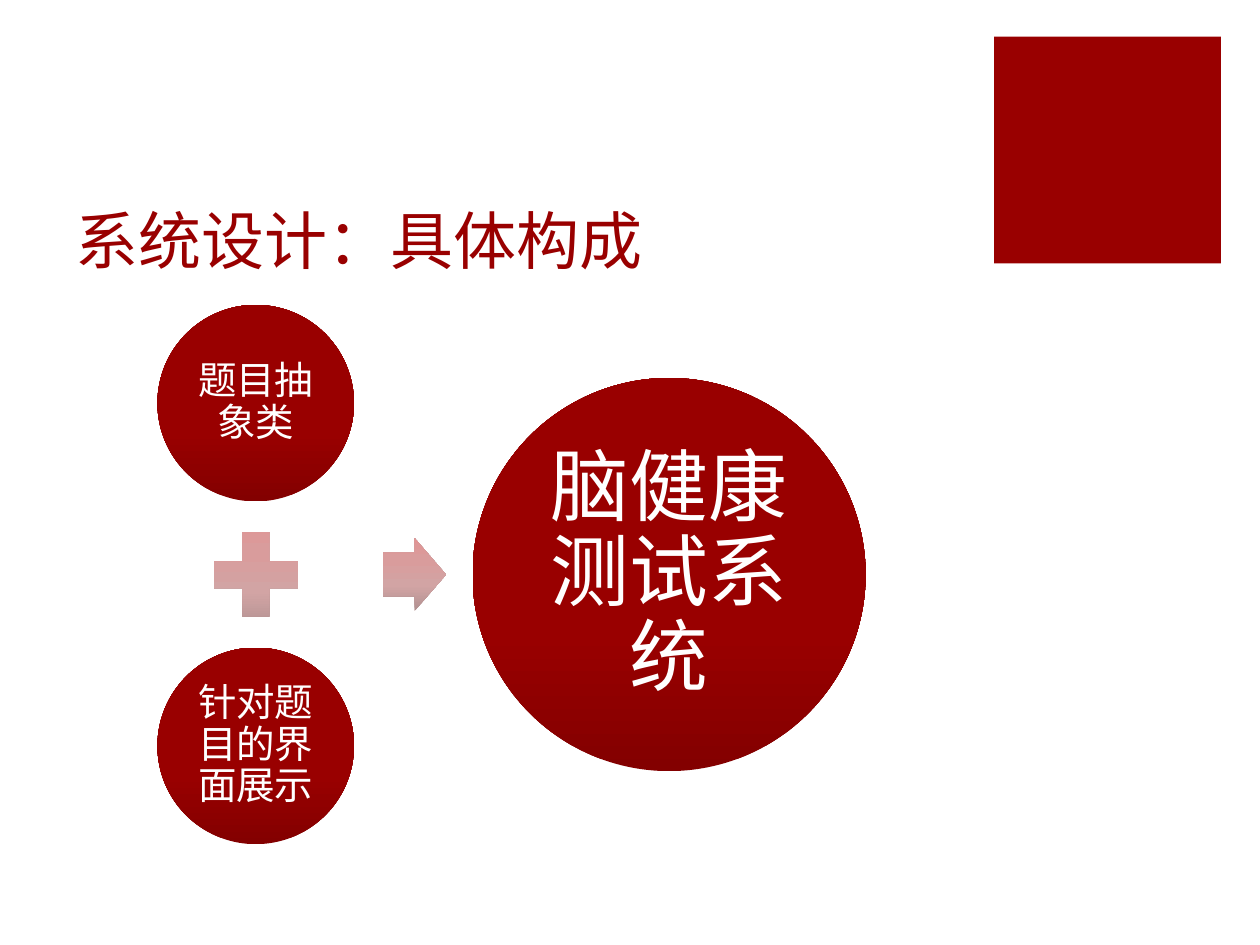
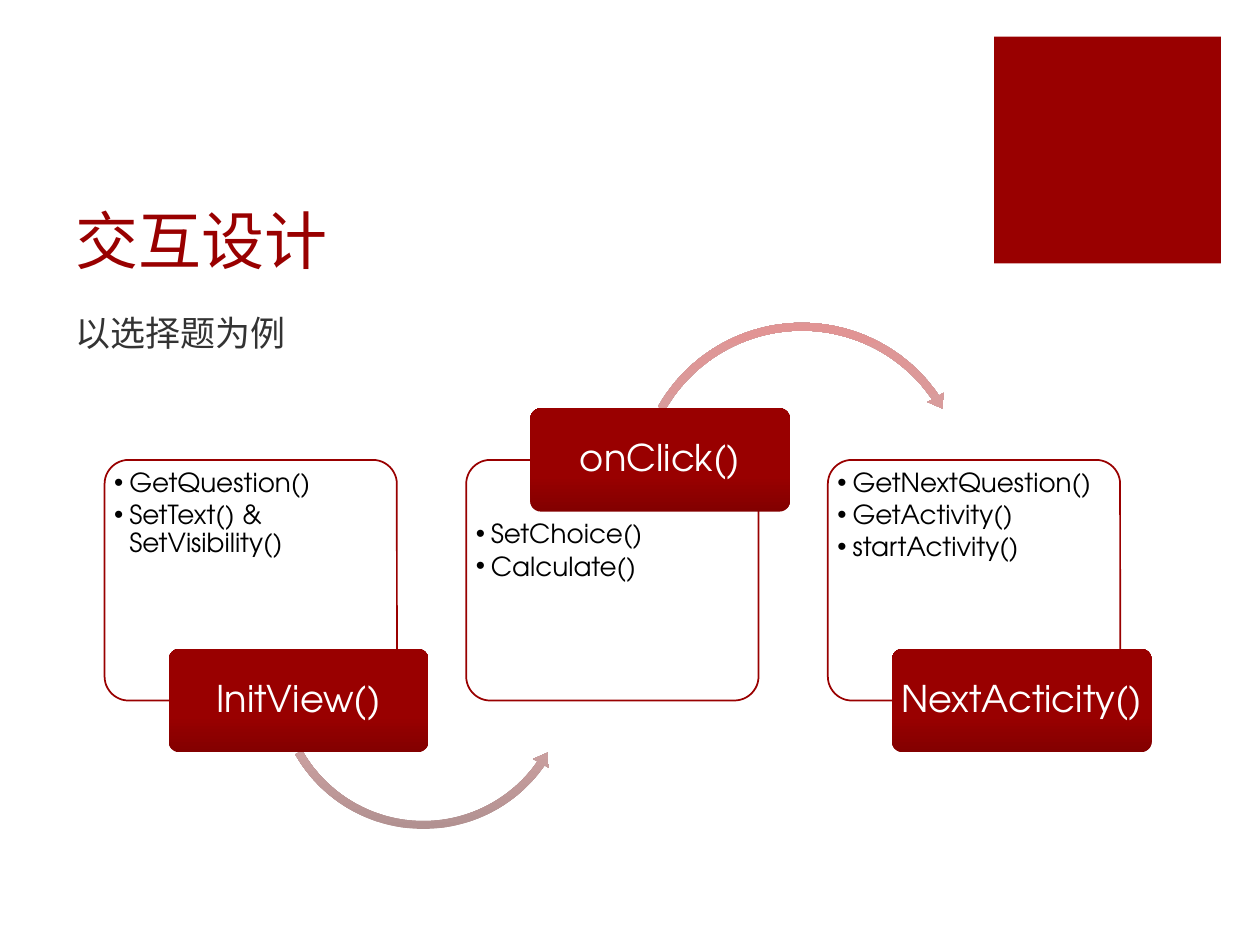
from dataclasses import dataclass
from typing import Optional

from lxml.etree import SubElement as add_node
from pptx import Presentation
from pptx.dml.color import RGBColor as Rgb
from pptx.enum.shapes import MSO_SHAPE as Kind
from pptx.enum.text import MSO_ANCHOR as Anchor, MSO_AUTO_SIZE as Fit, PP_ALIGN as Align
from pptx.oxml.ns import qn
from pptx.util import Emu, Inches, Pt

COLS, ROWS = 100, 75
CELL = Inches(10) // COLS
FONT = "TeX Gyre Adventor"
RED, WHITE, BLACK, GREY = "990000", "FFFFFF", "000000", "333333"
DEEP = ((0, "830000"), (35, RED), (70, RED), (100, RED))
PALE = ((0, "B09090"), (35, "D2A4A4"), (70, "D99C9C"), (100, "E19494"))


@dataclass(frozen=True)
class Box:
    col: float
    row: float
    wide: float
    high: float

    def cells(self) -> tuple:
        return tuple(Emu(round(n * CELL)) for n in (self.col, self.row, self.wide, self.high))


@dataclass(frozen=True)
class Disc:
    text: str
    col: float
    row: float
    wide: float
    size: float
    inset: float


@dataclass(frozen=True)
class Arc:
    kind: Kind
    box: Box
    bends: tuple


@dataclass(frozen=True)
class Step:
    name: str
    calls: tuple
    on_top: bool = False
    arc: Optional[Arc] = None


def hue(code: str) -> Rgb:
    return Rgb.from_string(code)


def around(col: float, row: float, wide: float, high: float) -> Box:
    return Box(col - wide / 2, row - high / 2, wide, high)


def shade(shape, stops: tuple) -> None:
    shape.fill.gradient()
    shape.fill.gradient_angle = 90
    ramp = shape.element.spPr.find(".//" + qn("a:gsLst"))
    for old in list(ramp):
        ramp.remove(old)
    for share, code in stops:
        stop = add_node(ramp, qn("a:gs"), pos=str(share * 1000))
        add_node(stop, qn("a:srgbClr"), val=code)


def draw(slide, kind: Kind, box: Box, fill, bends: tuple = ()):
    shape = slide.shapes.add_shape(kind, *box.cells())
    shape.shadow.inherit = False
    shape.line.fill.background()
    for i, bend in enumerate(bends):
        shape.adjustments[i] = bend
    if isinstance(fill, tuple):
        shade(shape, fill)
    else:
        shape.fill.solid()
        shape.fill.fore_color.rgb = hue(fill)
    return shape


def write(shape, text: str, size: float, code: str, align=Align.LEFT, anchor=Anchor.TOP) -> list:
    frame = shape.text_frame
    frame.text = text
    frame.word_wrap = True
    frame.auto_size = Fit.NONE
    frame.vertical_anchor = anchor
    for para in frame.paragraphs:
        para.alignment = align
        for run in para.runs:
            run.font.name = FONT
            run.font.size = Pt(size)
            run.font.color.rgb = hue(code)
    return list(frame.paragraphs)


def pad(shape, side: float, top: float, base: float) -> None:
    frame = shape.text_frame
    frame.margin_left = frame.margin_right = Inches(side)
    frame.margin_top, frame.margin_bottom = Inches(top), Inches(base)


def label(shape, text: str, size: float, inset: float) -> None:
    pad(shape, inset, inset, inset)
    for para in write(shape, text, size, WHITE, Align.CENTER, Anchor.MIDDLE):
        para.line_spacing = 0.9


def indent(para, left: float, mark: str = "") -> None:
    props = para._p.get_or_add_pPr()
    props.set("marL", str(Inches(left)))
    props.set("indent", str(-Inches(left)))
    if mark:
        add_node(props, qn("a:buFont"), typeface="Arial")
        add_node(props, qn("a:buChar"), char=mark)
    else:
        add_node(props, qn("a:buNone"))


def place(shape, box: Box) -> None:
    shape.left, shape.top, shape.width, shape.height = box.cells()


def start(deck, layout: int, title: str):
    slide = deck.slides.add_slide(deck.slide_layouts[layout])
    place(slide.shapes.title, Box(5, 10, 71.2, 12.5))
    write(slide.shapes.title, title, 36, RED, anchor=Anchor.BOTTOM)
    return slide


def brand(deck, slide) -> None:
    block = draw(slide, Kind.RECTANGLE, Box(78.9, 2.9, 18, 18), RED)
    deck.slide_master.shapes.element.insert(2, block.element)


MID, LEFT, DROP = 45.6, 20.3, 13.6
DISCS = (
    Disc("题目抽象类", LEFT, MID - DROP, 15.6, 22, 0.03),
    Disc("针对题目的界面展示", LEFT, MID + DROP, 15.6, 22, 0.03),
    Disc("脑健康测试系统", 53.1, MID, 31.2, 45, 0.06),
)


def parts(deck) -> None:
    slide = start(deck, 5, "系统设计:具体构成".replace(":", "："))
    brand(deck, slide)
    for disc in DISCS:
        shape = draw(slide, Kind.OVAL, around(disc.col, disc.row, disc.wide, disc.wide), DEEP)
        label(shape, disc.text, disc.size, disc.inset)
    draw(slide, Kind.MATH_PLUS, around(LEFT, MID, 9.1, 9.1), PALE)
    draw(slide, Kind.RIGHT_ARROW, around(32.9, MID, 5, 5.8), PALE, (0.6, 0.5))


CARD = Box(8.3, 36.5, 23.2, 19.1)
PITCH, SHIFT = 28.7, 5.1
TAG_WIDE, TAG_HIGH = 20.6, 8.2
STEPS = (
    Step("InitView()", ("GetQuestion()", "SetText() & SetVisibility()"),
         arc=Arc(Kind.LEFT_CIRCULAR_ARROW, Box(21.5, 42, 24.2, 24.2),
                 (0.026, 3.124, 20.879, 90.245, 0.03))),
    Step("onClick()", ("SetChoice()", "Calculate()"), on_top=True,
         arc=Arc(Kind.CIRCULAR_ARROW, Box(50.1, 25.2, 27.1, 27.1),
                 (0.023, 2.765, 195.48, 125.755, 0.027))),
    Step("NextActicity()", ("GetNextQuestion()", "GetActivity()", "startActivity()")),
)


def show(slide, step: Step, col: float) -> None:
    card = draw(slide, Kind.ROUNDED_RECTANGLE, Box(col, CARD.row, CARD.wide, CARD.high),
                WHITE, (0.1,))
    add_node(card.element.spPr.find(".//" + qn("a:srgbClr")), qn("a:alpha"), val="90000")
    card.line.color.rgb = hue(RED)
    card.line.width = Pt(1)
    pad(card, 0.02, 0.43 if step.on_top else 0.02, 0.02)
    for para in write(card, "\n".join(step.calls), 15, BLACK):
        para.line_spacing = 0.9
        para.space_after = Pt(2.25)
        indent(para, 0.12, "•")
    if step.arc:
        draw(slide, step.arc.kind, step.arc.box, PALE, step.arc.bends)
    edge = CARD.row if step.on_top else CARD.row + CARD.high
    tag = draw(slide, Kind.ROUNDED_RECTANGLE,
               Box(col + SHIFT, edge - TAG_HIGH / 2, TAG_WIDE, TAG_HIGH), DEEP, (0.1,))
    label(tag, step.name, 21, 0.03)


def flow(deck) -> None:
    slide = start(deck, 1, "交互设计")
    body = slide.placeholders[1]
    place(body, Box(5, 24.2, 91.5, 42.8))
    for para in write(body, "以选择题为例", 20, GREY):
        para.space_before = Pt(18)
        indent(para, 0)
    for i, step in enumerate(STEPS):
        show(slide, step, CARD.col + i * PITCH)


def main() -> None:
    deck = Presentation()
    deck.slide_width, deck.slide_height = Emu(COLS * CELL), Emu(ROWS * CELL)
    parts(deck)
    flow(deck)
    deck.save("out.pptx")


main()
